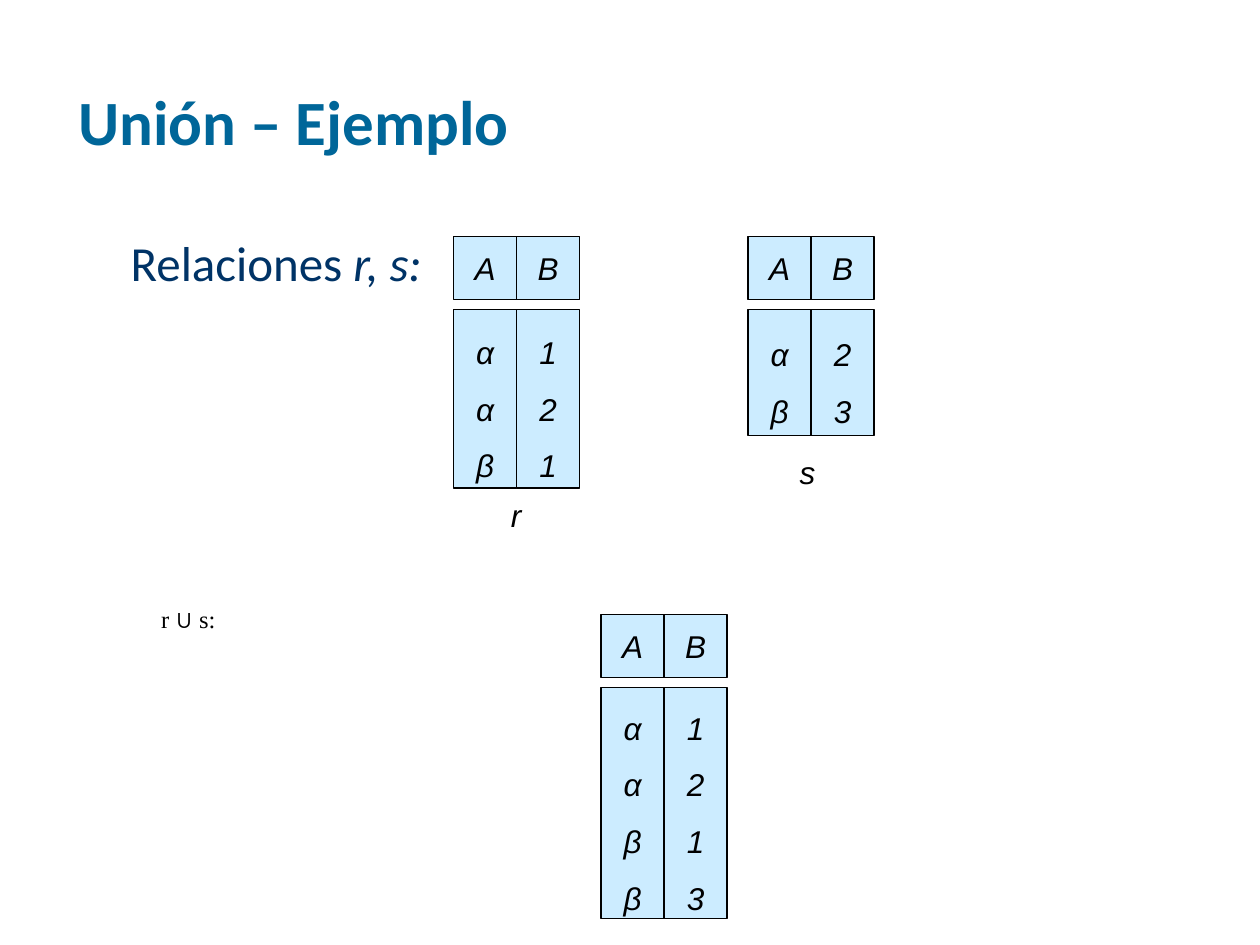
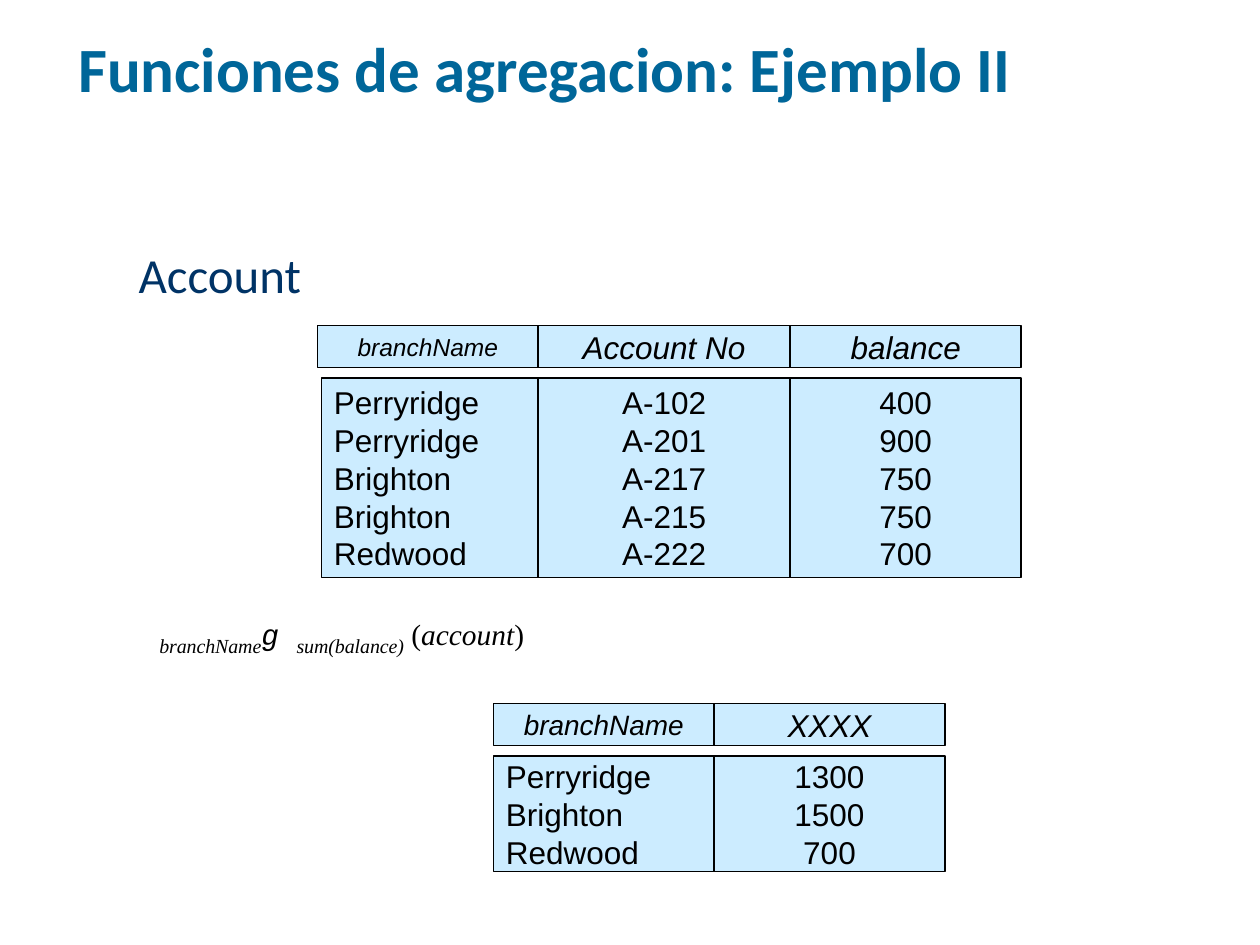
from dataclasses import dataclass

from pptx import Presentation
from pptx.dml.color import RGBColor
from pptx.enum import shapes, text
from pptx.oxml.ns import qn
from pptx.util import Pt

# Shared look
TITLE_BLUE = RGBColor(0x00, 0x66, 0x99)
BODY_BLUE = RGBColor(0x00, 0x33, 0x66)
CELL_BLUE = RGBColor(0xCC, 0xEC, 0xFF)
BLACK = RGBColor(0x00, 0x00, 0x00)
SANS, SERIF, MONO, HEADING = "Arial", "Times New Roman", "Courier New", "Calibri"
HEAD_GAP = 6
BODY_INDENT = 27
LEFT, CENTER = text.PP_ALIGN.LEFT, text.PP_ALIGN.CENTER
TOP, MIDDLE, BOTTOM = (text.MSO_ANCHOR.TOP, text.MSO_ANCHOR.MIDDLE,
                       text.MSO_ANCHOR.BOTTOM)


@dataclass(frozen=True)
class Span:
    words: str
    size: float = 18
    font: str = SANS
    color: RGBColor = BLACK
    bold: bool = False
    italic: bool = False
    lowered: bool = False


@dataclass(frozen=True)
class Area:
    left: float
    top: float
    width: float
    height: float


@dataclass(frozen=True)
class Column:
    name: str
    values: list[str]
    width: float = 36
    name_size: float = 18
    align: text.PP_ALIGN = CENTER
    body_shift: float = 0


@dataclass(frozen=True)
class Relation:
    left: float
    top: float
    body_height: float
    columns: list[Column]
    head_height: float = 36
    italic: bool = False
    line_spacing: float = 1.0


# Text helpers
def add_spans(para, spans: list[Span]) -> None:
    for span in spans:
        run = para.add_run()
        run.text = span.words
        font = run.font
        font.name, font.size = span.font, Pt(span.size)
        font.bold, font.italic = span.bold, span.italic
        font.color.rgb = span.color
        if span.lowered:
            run.font._element.set("baseline", "-25000")


def fill_frame(frame, paragraphs: list[list[Span]], align=LEFT, anchor=TOP,
               wrap: bool = True, line_spacing: float = 1.0,
               space_before: float = 0) -> None:
    frame.auto_size = text.MSO_AUTO_SIZE.NONE
    frame.word_wrap = wrap
    frame.vertical_anchor = anchor
    for index, spans in enumerate(paragraphs):
        para = frame.add_paragraph() if index else frame.paragraphs[0]
        para.alignment = align
        para.line_spacing = line_spacing
        para.space_before = Pt(space_before)
        add_spans(para, spans)


def indent(para, margin: float, first_line: float = 0) -> None:
    properties = para._p.get_or_add_pPr()
    properties.set("marL", str(Pt(margin)))
    properties.set("indent", str(Pt(first_line)))


def place(shape, area: Area) -> None:
    shape.left, shape.top = Pt(area.left), Pt(area.top)
    shape.width, shape.height = Pt(area.width), Pt(area.height)


def add_text(page, area: Area, spans: list[Span], **layout):
    box = page.shapes.add_textbox(Pt(area.left), Pt(area.top),
                                  Pt(area.width), Pt(area.height))
    fill_frame(box.text_frame, [spans], **layout)
    return box


# Slide frame: title and lead line
def add_page(deck, title: str, title_area: Area, lead: list[Span],
             lead_area: Area):
    page = deck.slides.add_slide(deck.slide_layouts[1])
    heading, body = page.placeholders
    place(heading, title_area)
    fill_frame(heading.text_frame,
               [[Span(title, 36, HEADING, TITLE_BLUE, bold=True)]],
               anchor=BOTTOM)
    place(body, lead_area)
    fill_frame(body.text_frame, [lead], space_before=7)
    para = body.text_frame.paragraphs[0]
    indent(para, BODY_INDENT, -BODY_INDENT)
    para._p.get_or_add_pPr().append(para._p.makeelement(qn("a:buNone"), {}))
    return page


# Relations: a row of header cells above a row of column bodies
def add_cell(page, area: Area, lines: list[Span], align=CENTER,
             line_spacing: float = 1.0) -> None:
    cell = page.shapes.add_shape(shapes.MSO_SHAPE.RECTANGLE, Pt(area.left),
                                 Pt(area.top), Pt(area.width), Pt(area.height))
    cell.shadow.inherit = False
    cell.fill.solid()
    cell.fill.fore_color.rgb = CELL_BLUE
    cell.line.color.rgb = BLACK
    cell.line.width = Pt(0.75)
    fill_frame(cell.text_frame, [[line] for line in lines], align, MIDDLE,
               wrap=False, line_spacing=line_spacing)


def add_relation(page, relation: Relation) -> None:
    left = relation.left
    body_top = relation.top + relation.head_height + HEAD_GAP
    for column in relation.columns:
        add_cell(page, Area(left, relation.top, column.width, relation.head_height),
                 [Span(column.name, column.name_size, italic=True)])
        add_cell(page, Area(left + column.body_shift, body_top, column.width,
                            relation.body_height),
                 [Span(value, italic=relation.italic) for value in column.values],
                 column.align, relation.line_spacing)
        left += column.width


def letter_relation(left: float, top: float, body_height: float,
                    a_values: str, b_values: str) -> Relation:
    return Relation(left, top, body_height,
                    [Column("A", list(a_values)), Column("B", list(b_values))],
                    italic=True, line_spacing=1.5)


def build_union(deck) -> None:
    page = add_page(deck, "Unión – Ejemplo", Area(37.5, 43, 636, 51),
                    [Span("Relaciones ", 28, HEADING, BODY_BLUE),
                     Span("r, s:", 28, HEADING, BODY_BLUE, italic=True)],
                    Area(67.5, 129, 553.5, 41))
    formula = add_text(page, Area(67.5, 345, 553.5, 26),
                       [Span("r ", 14, SERIF), Span("∪", 14), Span(" s:", 14, SERIF)],
                       line_spacing=0.8, space_before=8.8)
    indent(formula.text_frame.paragraphs[0], 17.5)

    for relation in (letter_relation(259.2, 135, 102, "ααβ", "121"),
                     letter_relation(427.5, 135, 72, "αβ", "23"),
                     letter_relation(343.5, 351, 132, "ααββ", "1213")):
        add_relation(page, relation)

    for name, area in (("r", Area(285, 279.5, 20, 29)),
                       ("s", Area(450, 255, 23, 29))):
        add_text(page, area, [Span(name, italic=True)], align=CENTER,
                 anchor=MIDDLE, wrap=False, space_before=11.2)


def build_aggregation(deck) -> None:
    page = add_page(deck, "Funciones de agregacion: Ejemplo II",
                    Area(37.5, -30, 636, 93.5),
                    [Span("Account", 28, HEADING, BODY_BLUE)],
                    Area(72, 136, 553.5, 41))
    add_text(page, Area(84, 348, 553.5, 32),
             [Span("branchName", 19.6, SERIF, italic=True, lowered=True),
              Span("g ", 16.8, MONO, italic=True),
              Span("sum(balance)", 19.6, SERIF, italic=True, lowered=True),
              Span(" (", 16.8, SERIF),
              Span("account", 16.8, SERIF, italic=True),
              Span(")", 16.8, SERIF)],
             line_spacing=0.8)

    add_relation(page, Relation(181.5, 186, 114, [
        Column("branchName",
               ["Perryridge", "Perryridge", "Brighton", "Brighton", "Redwood"],
               126, 14, LEFT, body_shift=2.25),
        Column("Account No", ["A-102", "A-201", "A-217", "A-215", "A-222"], 144),
        Column("balance", ["400", "900", "750", "750", "700"], 132),
    ], head_height=24))
    add_relation(page, Relation(282, 402, 66, [
        Column("branchName", ["Perryridge", "Brighton", "Redwood"], 126, 16, LEFT),
        Column("XXXX", ["1300", "1500", "700"], 132),
    ], head_height=24))


def main() -> None:
    deck = Presentation()
    deck.slide_width, deck.slide_height = Pt(720), Pt(540)
    build_union(deck)
    build_aggregation(deck)
    deck.save("out.pptx")


if __name__ == "__main__":
    main()
